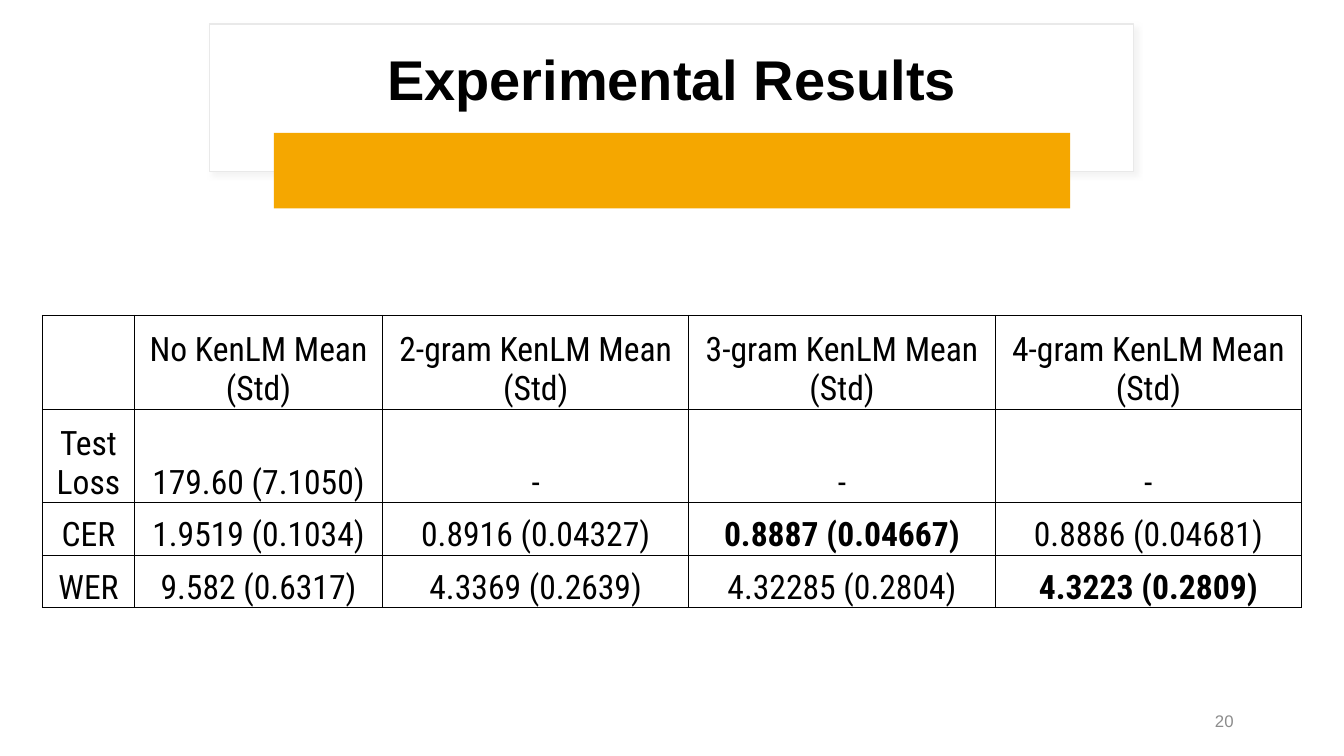
from pptx import Presentation
from pptx.dml.color import RGBColor
from pptx.enum.shapes import MSO_SHAPE as Shape
from pptx.enum.text import MSO_ANCHOR as Anchor, PP_ALIGN as Align
from pptx.oxml import parse_xml
from pptx.oxml.ns import nsdecls
from pptx.util import Cm, Pt

RESULTS = [
    ["", "No KenLM Mean (Std)", "2-gram KenLM Mean (Std)",
     "3-gram KenLM Mean (Std)", "4-gram KenLM Mean (Std)"],
    ["Test Loss", "179.60 (7.1050)", "-", "-", "-"],
    ["CER", "1.9519 (0.1034)", "0.8916 (0.04327)", "0.8887 (0.04667)", "0.8886 (0.04681)"],
    ["WER", "9.582 (0.6317)", "4.3369 (0.2639)", "4.32285 (0.2804)", "4.3223 (0.2809)"],
]
BEST_RESULTS = {(2, 3), (3, 4)}
COLUMN_WIDTHS = [2.32, 6.25, 7.72, 7.72, 7.72]
ROW_HEIGHTS = [2.36, 2.36, 1.32, 1.32]


def color(value):
    return RGBColor.from_string(value)


def write(frame, text, size=24, font="Roboto Condensed", fill="000000", bold=False,
          align=Align.CENTER, spacing=1.0):
    frame.word_wrap = True
    para = frame.paragraphs[0]
    para.alignment = align
    para.line_spacing = spacing
    para.font.size = Pt(size)
    if text:
        span = para.add_run()
        span.text = text
        span.font.name = font
        span.font.size = Pt(size)
        span.font.bold = bold
        span.font.color.rgb = color(fill)


def add_text(page, left, top, width, height, text, **style):
    box = page.shapes.add_textbox(Cm(left), Cm(top), Cm(width), Cm(height))
    box.text_frame.vertical_anchor = Anchor.MIDDLE
    write(box.text_frame, text, **style)


def add_panel(page, left, top, width, height, fill, line=None):
    panel = page.shapes.add_shape(Shape.RECTANGLE, Cm(left), Cm(top), Cm(width), Cm(height))
    panel.shadow.inherit = False
    panel.fill.solid()
    panel.fill.fore_color.rgb = color(fill)
    if line:
        panel.line.color.rgb = color(line)
        panel.line.width = Pt(1)
    else:
        panel.line.fill.background()
    return panel


def add_soft_shadow(panel):
    properties = panel.fill._xPr
    effects = properties.find("{*}effectLst")
    effects.append(parse_xml(
        f'<a:outerShdw {nsdecls("a")} blurRad="{Pt(4)}" dist="{Pt(3)}" dir="2700000" '
        'algn="tl" rotWithShape="0"><a:srgbClr val="D9D9D9"><a:alpha val="30000"/>'
        '</a:srgbClr></a:outerShdw>'))


def add_header(page, left, top, width, height):
    add_soft_shadow(add_panel(page, left, top, width, height, "FFFFFF", "E9E9E9"))
    add_text(page, left + 0.56, top + 0.25, width - 1.12, 2.41, "Experimental Results",
             size=40, font="Arial", bold=True, spacing=0.9)
    add_panel(page, left + 1.62, top + 2.74, width - 3.22, 1.9, "F5A700")


def add_borders(cell):
    properties = cell._tc.get_or_add_tcPr()
    for side in "LRTB":
        properties.append(parse_xml(
            f'<a:ln{side} {nsdecls("a")} w="{Pt(1)}"><a:solidFill>'
            f'<a:srgbClr val="000000"/></a:solidFill></a:ln{side}>'))


def add_results(page, left, top):
    frame = page.shapes.add_table(len(RESULTS), len(COLUMN_WIDTHS), Cm(left), Cm(top),
                                  Cm(sum(COLUMN_WIDTHS)), Cm(sum(ROW_HEIGHTS)))
    table = frame.table
    table.first_row = table.horz_banding = False
    for column, width in zip(table.columns, COLUMN_WIDTHS):
        column.width = Cm(width)
    for r, (values, height) in enumerate(zip(RESULTS, ROW_HEIGHTS)):
        table.rows[r].height = Cm(height)
        for c, value in enumerate(values):
            cell = table.cell(r, c)
            add_borders(cell)
            cell.fill.background()
            cell.vertical_anchor = Anchor.BOTTOM
            cell.margin_left = cell.margin_right = cell.margin_top = Cm(0.05)
            cell.margin_bottom = 0
            write(cell.text_frame, value, bold=(r, c) in BEST_RESULTS)


def main():
    deck = Presentation()
    deck.slide_width, deck.slide_height = Cm(33.87), Cm(19.05)
    page = deck.slides.add_slide(deck.slide_layouts[6])
    add_header(page, 5.28, 0.61, 23.29, 3.71)
    add_results(page, 1.07, 7.95)
    add_text(page, 23.72, 17.65, 7.62, 1.02, "20", size=12, font="Arial",
             fill="8C8C8C", align=Align.RIGHT)
    deck.save("out.pptx")


if __name__ == "__main__":
    main()
